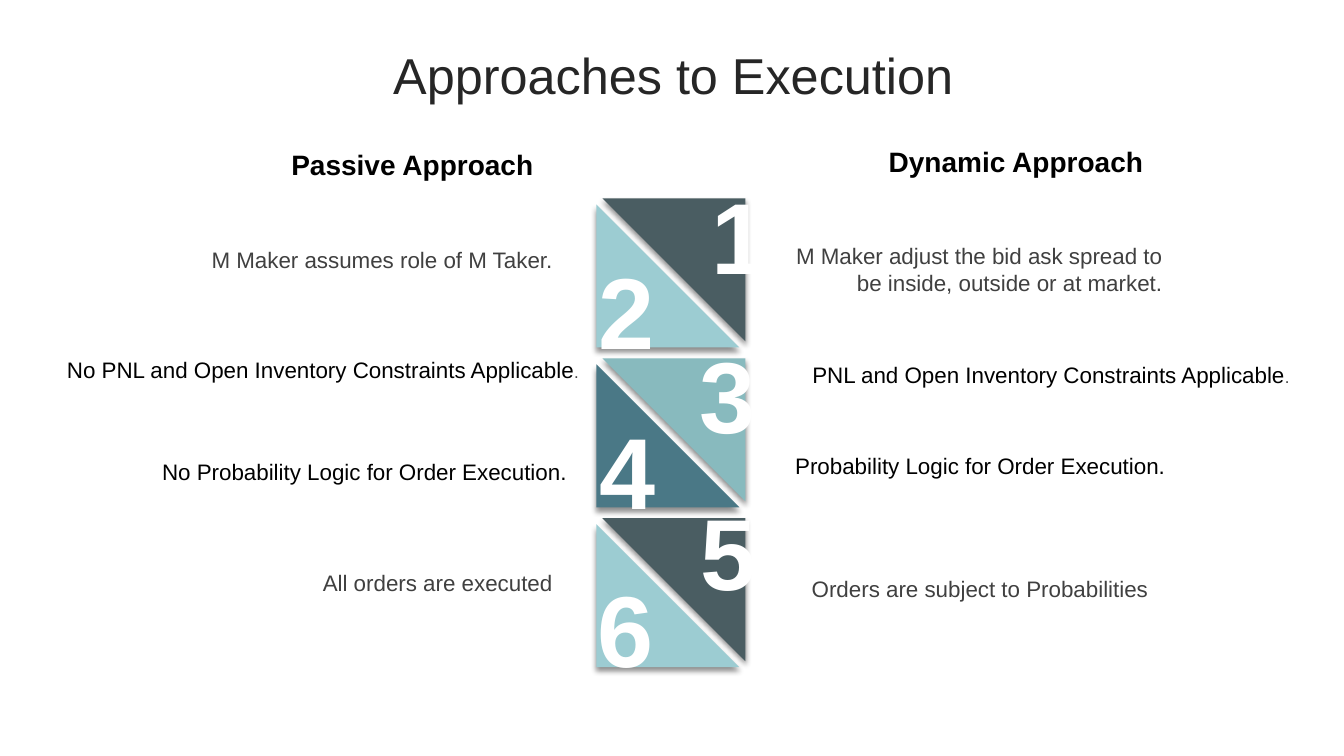
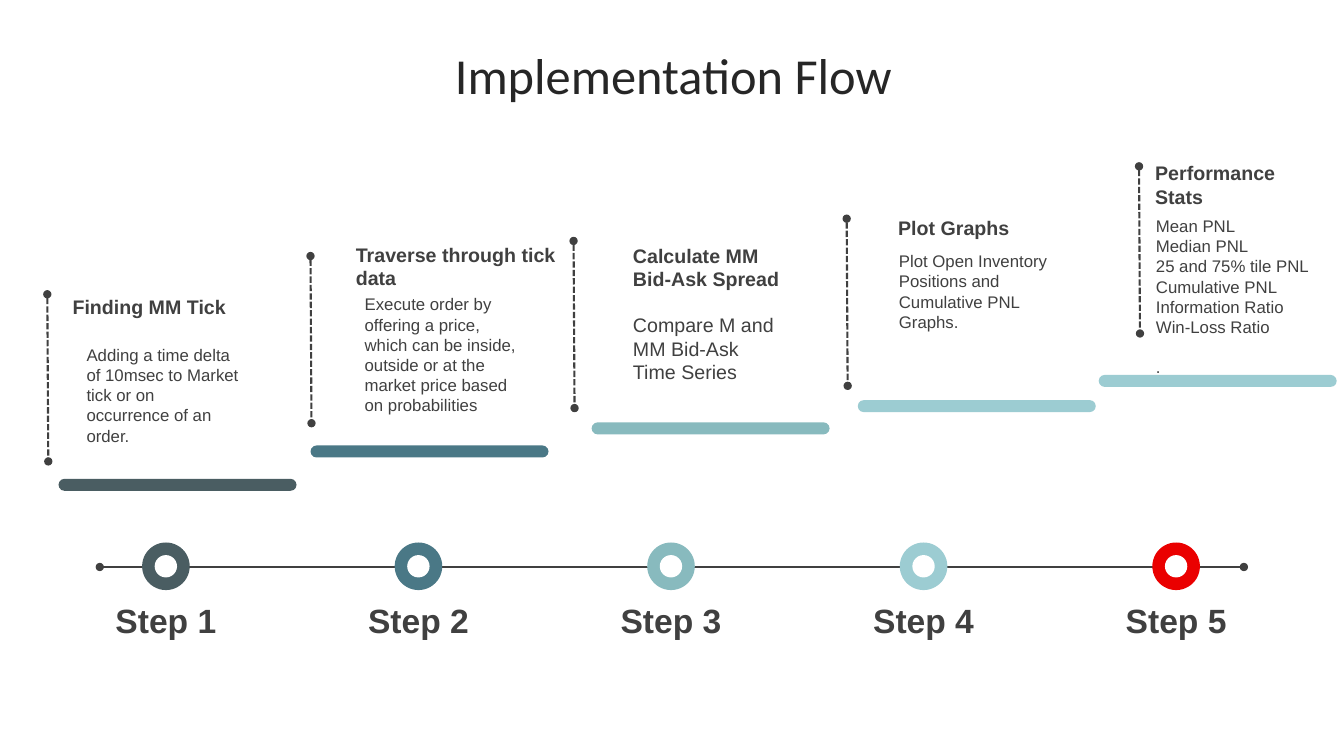
from dataclasses import dataclass

from lxml import etree
from pptx import Presentation
from pptx.dml.color import RGBColor
from pptx.enum.dml import MSO_LINE
from pptx.enum.shapes import MSO_CONNECTOR, MSO_SHAPE
from pptx.enum.text import MSO_ANCHOR, MSO_AUTO_SIZE, PP_ALIGN
from pptx.oxml.ns import qn
from pptx.util import Pt

LEFT, CENTER, RIGHT = PP_ALIGN.LEFT, PP_ALIGN.CENTER, PP_ALIGN.RIGHT
MIDDLE = MSO_ANCHOR.MIDDLE
GROW = MSO_AUTO_SIZE.SHAPE_TO_FIT_TEXT
TRIANGLE, OVAL = MSO_SHAPE.RIGHT_TRIANGLE, MSO_SHAPE.OVAL
PILL = MSO_SHAPE.ROUNDED_RECTANGLE
STRAIGHT = MSO_CONNECTOR.STRAIGHT
SHORT_DASH = MSO_LINE.SQUARE_DOT
TITLE_ONLY = 5


@dataclass(frozen=True)
class Theme:
    font: str = "Arial"
    title_ink: str = "262626"
    ink: str = "404040"
    black: str = "000000"
    white: str = "FFFFFF"
    slate: str = "4A5D62"
    steel: str = "4A7886"
    teal: str = "88BABE"
    mist: str = "9CCCD2"
    red: str = "EA0000"
    title_size: float = 36
    numeral_size: float = 72
    step_size: float = 24
    column_size: float = 20
    point_size: float = 16
    heading_size: float = 14
    detail_size: float = 12


THEME = Theme()
NARROW_INSETS = (7.2, 3.6)
WIDE_INSETS = (8.64, 3.6)

TITLE_BOX = (25, 27, 912, 57)

# Slide 1: lower-left and upper-right colour of each square
SQUARES = [(THEME.mist, THEME.slate), (THEME.steel, THEME.teal),
           (THEME.mist, THEME.slate)]
SQUARE_LEFT, SQUARE_TOP, SQUARE_PITCH = 426, 146, 114.2
TRIANGLE_SIZE, TRIANGLE_GAP = 102.2, 4.3

NUMERALS = [("1", 499.7, 120.2), ("2", 419, 174.2), ("3", 491, 234),
            ("4", 419.8, 288.7), ("5", 491.8, 346.3), ("6", 418.3, 401)]

COLUMN_HEADINGS = [("Passive Approach", (99.4, 101.5, 288.7, 31.7)),
                   ("Dynamic Approach", (535, 99.4, 288.7, 31.7))]
SMALL_STOP = (".", {"size": THEME.detail_size, "color": THEME.ink})
POINTS = [
    ("M Maker assumes role of M Taker.",
     (110.9, 172.1, 290.9, 26.6), RIGHT, THEME.ink),
    ([("No PNL and Open Inventory Constraints Applicable", {}), SMALL_STOP],
     (31, 250.6, 389.5, 26.6), RIGHT, THEME.black),
    ("No Probability Logic for Order Execution.",
     (108.7, 324, 307.4, 26.6), LEFT, THEME.black),
    ("All orders are executed",
     (110.9, 403.2, 290.9, 26.6), RIGHT, THEME.ink),
    ("M Maker adjust the bid ask spread to be inside, outside or at market.",
     (546.5, 169.2, 290.9, 46), RIGHT, THEME.ink),
    ([("PNL and Open Inventory Constraints Applicable", {}), SMALL_STOP],
     (538.6, 254.2, 389.5, 26.6), RIGHT, THEME.black),
    ("Probability Logic for Order Execution.",
     (560.9, 319.7, 286.6, 26.6), LEFT, THEME.black),
    ("Orders are subject to Probabilities",
     (536.4, 407.5, 290.9, 26.6), RIGHT, THEME.ink),
]

# Slide 2
STEP_COLORS = [THEME.slate, THEME.steel, THEME.teal, THEME.mist, THEME.red]
STEP_LEFT, STEP_PITCH, AXIS_Y = 118.5, 180.4, 405
RING, HOLE = 34, 16
STEP_LABEL = (86.4, 28.8)
BAR = (170, 8.6)
RULE_HEIGHT, RULE_LEAN = 119.4, 0.7


@dataclass(frozen=True)
class Stage:
    heading: str
    heading_box: tuple
    details: list
    detail_box: tuple
    rule: tuple
    bar: tuple
    color: str


SPREAD_BOX = (443.5, 170.6, 124.6, 108.7)
STAGES = [
    Stage("Finding MM Tick", (43.2, 207.4, 155.5, 24.5),
          ["Adding a time delta of 10msec to Market tick or on occurrence "
           "of an order."],
          (54.7, 242.6, 123.8, 79.9), (33.8, 210.2), (41.8, 342), THEME.slate),
    Stage("Traverse through tick data", (245.5, 169.9, 170, 46),
          ["Execute order by offering a price, which can be inside, outside "
           "or at the market price based on probabilities"],
          (253.4, 206.6, 123.8, 105), (221.8, 182.9), (221.8, 318.2),
          THEME.steel),
    Stage("Calculate MM Bid-Ask Spread", SPREAD_BOX,
          ["Compare M and MM Bid-Ask Time Series"],
          SPREAD_BOX, (409.7, 172.1), (422.6, 301.7), THEME.teal),
    Stage("Plot Graphs", (632.9, 150.5, 124.6, 32.4),
          ["Plot Open Inventory Positions and Cumulative PNL Graphs."],
          (635, 175.7, 123.8, 87), (604.8, 156.2), (612.7, 285.8), THEME.mist),
    Stage("Performance Stats", (816.5, 111.6, 124.6, 41),
          ["Mean PNL", "Median PNL", "25 and 75% tile PNL", "Cumulative PNL",
           "Information Ratio", "Win-Loss Ratio",
           [(".", {"space_before": 14})]],
          (818.6, 150.6, 123.8, 124), (813.6, 118.8), (784.8, 267.8),
          THEME.mist),
]


def points(values):
    return [Pt(value) for value in values]


def write_paragraph(paragraph, content, *, size, color, font=THEME.font,
                    bold=False, align=LEFT, line_spacing=None,
                    space_before=0):
    """Fill a paragraph from a string or a list of (text, format) runs."""
    base = {"size": size, "color": color, "font": font, "bold": bold,
            "space_before": space_before}
    runs = [(content, {})] if isinstance(content, str) else content
    paragraph.alignment = align
    paragraph.line_spacing = line_spacing
    for words, changes in runs:
        look = {**base, **changes}
        run = paragraph.add_run()
        run.text = words
        run.font.name = look["font"]
        run.font.size = Pt(look["size"])
        run.font.bold = look["bold"]
        run.font.color.rgb = RGBColor.from_string(look["color"])
        paragraph.space_before = Pt(look["space_before"])


def add_text(slide, box, paragraphs, insets=NARROW_INSETS, **look):
    frame = slide.shapes.add_textbox(*points(box)).text_frame
    frame.word_wrap = True
    frame.auto_size = GROW
    frame.margin_left = frame.margin_right = Pt(insets[0])
    frame.margin_top = frame.margin_bottom = Pt(insets[1])
    for index, content in enumerate(paragraphs):
        paragraph = frame.add_paragraph() if index else frame.paragraphs[0]
        write_paragraph(paragraph, content, **look)


def add_title(slide, words, font=THEME.font):
    title = slide.shapes.title
    title.left, title.top, title.width, title.height = points(TITLE_BOX)
    title.text_frame.vertical_anchor = MIDDLE
    write_paragraph(title.text_frame.paragraphs[0], words, font=font,
                    size=THEME.title_size, color=THEME.title_ink,
                    align=CENTER, line_spacing=0.9)


def add_plain_shape(slide, kind, box, color):
    shape = slide.shapes.add_shape(kind, *points(box))
    shape.shadow.inherit = False
    shape.fill.solid()
    shape.fill.fore_color.rgb = RGBColor.from_string(color)
    shape.line.fill.background()
    return shape


def cast_shadow(shape):
    """Give a shape a soft shadow straight below it."""
    effects = shape.element.spPr.find(qn("a:effectLst"))
    shadow = etree.SubElement(
        effects, qn("a:outerShdw"), blurRad=str(Pt(4)), dist=str(Pt(3)),
        dir="5400000", algn="t", rotWithShape="0")
    tint = etree.SubElement(shadow, qn("a:srgbClr"), val=THEME.black)
    etree.SubElement(tint, qn("a:alpha"), val="43000")


def add_dotted_end_line(slide, start, end, weight, dash=None):
    """Draw a line with a round dot at each end."""
    connector = slide.shapes.add_connector(STRAIGHT, *points(start + end))
    connector.line.color.rgb = RGBColor.from_string(THEME.ink)
    connector.line.width = Pt(weight)
    if dash is not None:
        connector.line.dash_style = dash
    properties = connector.element.spPr
    outline = properties.find(qn("a:ln"))
    for tag in ("a:headEnd", "a:tailEnd"):
        etree.SubElement(outline, qn(tag), type="oval")
    etree.SubElement(properties, qn("a:effectLst"))


def add_split_square(slide, top, lower_color, upper_color):
    for shift, turn, color in ((0, 0, lower_color),
                               (TRIANGLE_GAP, 180, upper_color)):
        box = (SQUARE_LEFT + shift, top - shift, TRIANGLE_SIZE, TRIANGLE_SIZE)
        triangle = add_plain_shape(slide, TRIANGLE, box, color)
        triangle.rotation = turn
        cast_shadow(triangle)


def add_step(slide, number, color):
    center = STEP_LEFT + (number - 1) * STEP_PITCH
    for diameter, tint in ((RING, color), (HOLE, THEME.white)):
        box = (center - diameter / 2, AXIS_Y - 0.5 - diameter / 2,
               diameter, diameter)
        add_plain_shape(slide, OVAL, box, tint)
    width, height = STEP_LABEL
    add_text(slide, (center - width / 2, 428.4, width, height),
             [f"Step {number}"], insets=(0, 0), size=THEME.step_size,
             color=THEME.ink, bold=True, align=CENTER)


def add_stage(slide, stage):
    heading_look = {"size": THEME.heading_size, "color": THEME.ink,
                    "bold": True, "insets": WIDE_INSETS}
    if stage.detail_box == stage.heading_box:
        details = [[(words, {"bold": False, "space_before": 16})]
                   for words in stage.details]
        add_text(slide, stage.heading_box, [stage.heading, *details],
                 **heading_look)
    else:
        add_text(slide, stage.detail_box, stage.details,
                 size=THEME.detail_size, color=THEME.ink)
        add_text(slide, stage.heading_box, [stage.heading], **heading_look)
    left, top = stage.rule
    add_dotted_end_line(slide, stage.rule,
                        (left + RULE_LEAN, top + RULE_HEIGHT), 1.5, SHORT_DASH)
    bar = add_plain_shape(slide, PILL, stage.bar + BAR, stage.color)
    bar.adjustments[0] = 0.5


def build_approaches(slide):
    add_title(slide, "Approaches to Execution")
    for row, colors in enumerate(SQUARES):
        add_split_square(slide, SQUARE_TOP + row * SQUARE_PITCH, *colors)
    for numeral, left, top in NUMERALS:
        add_text(slide, (left, top, 48.2, 94.3), [numeral], insets=WIDE_INSETS,
                 size=THEME.numeral_size, color=THEME.white, bold=True,
                 align=CENTER)
    for heading, box in COLUMN_HEADINGS:
        add_text(slide, box, [heading], size=THEME.column_size,
                 color=THEME.black, bold=True, align=RIGHT)
    for statement, box, align, color in POINTS:
        add_text(slide, box, [statement], size=THEME.point_size, color=color,
                 align=align)


def build_flow(slide):
    add_title(slide, "Implementation Flow", font="Calibri")
    add_dotted_end_line(slide, (71.3, AXIS_Y), (888.5, AXIS_Y), 1.75)
    for number, color in enumerate(STEP_COLORS, start=1):
        add_step(slide, number, color)
    for stage in STAGES:
        add_stage(slide, stage)


def main():
    deck = Presentation()
    deck.slide_width, deck.slide_height = Pt(960), Pt(540)
    for build in (build_approaches, build_flow):
        build(deck.slides.add_slide(deck.slide_layouts[TITLE_ONLY]))
    deck.save("out.pptx")


if __name__ == "__main__":
    main()
